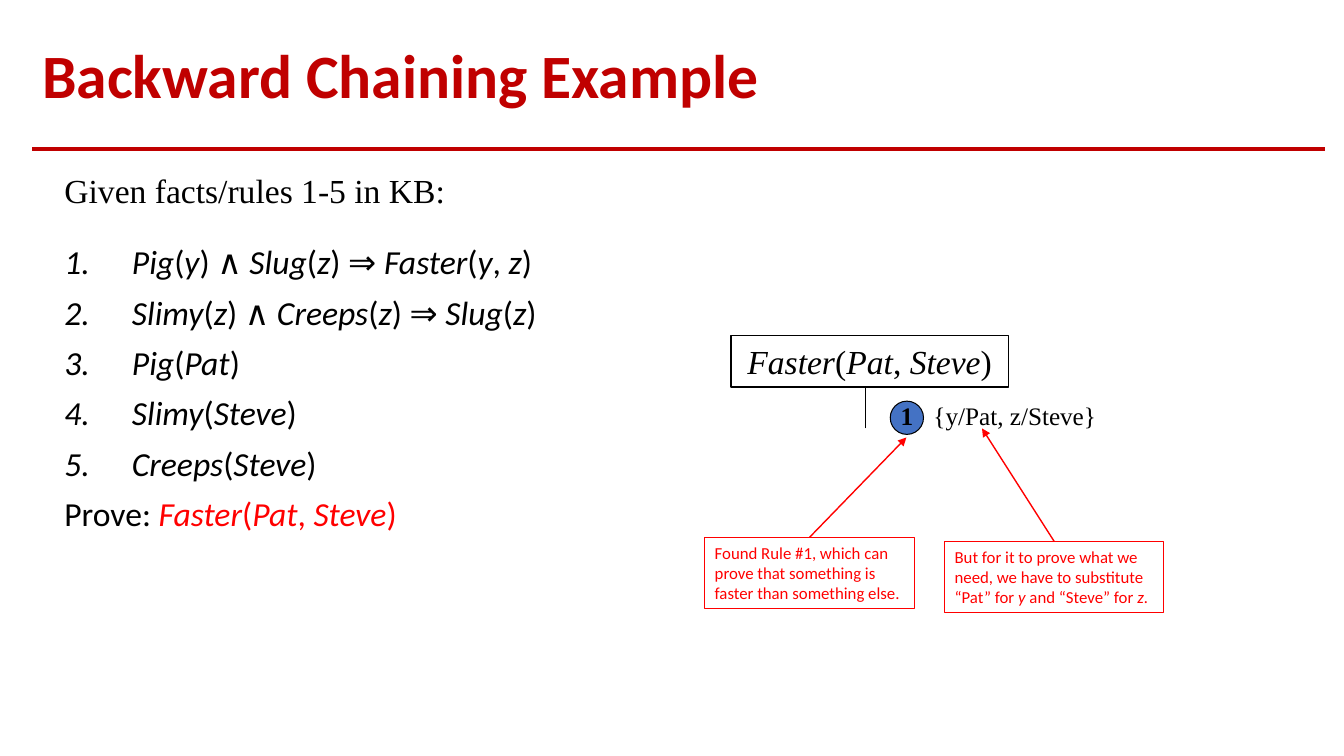
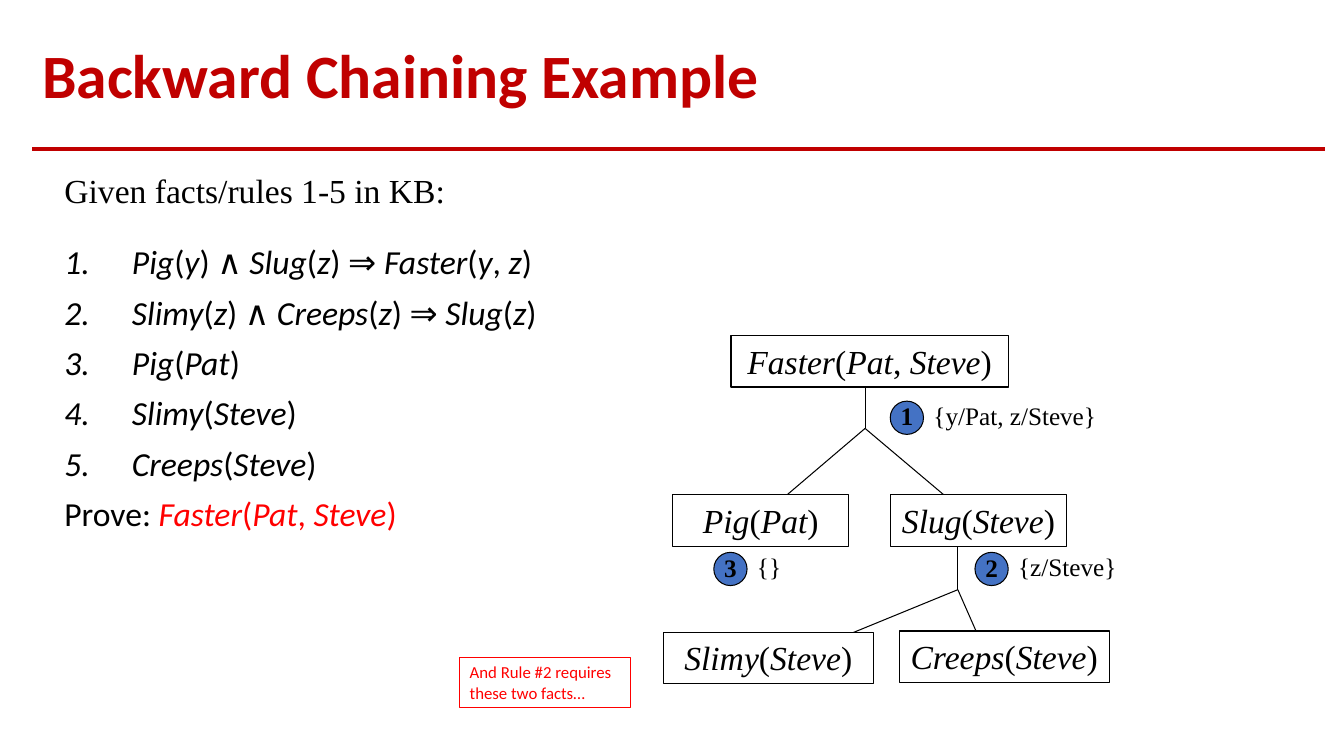
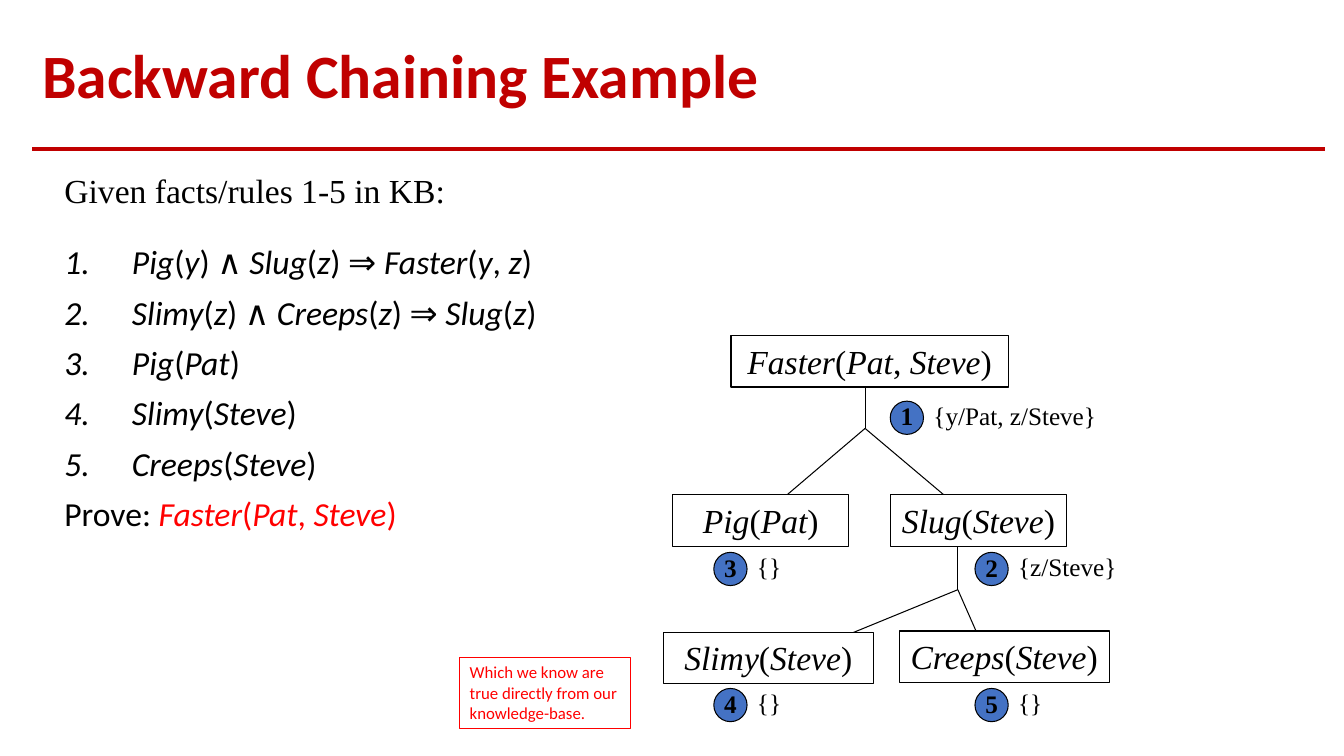
from dataclasses import dataclass
from typing import Optional

from lxml.etree import SubElement
from pptx import Presentation
from pptx.dml.color import RGBColor
from pptx.enum.shapes import MSO_CONNECTOR, MSO_SHAPE
from pptx.enum.text import MSO_ANCHOR, MSO_AUTO_SIZE, PP_ALIGN
from pptx.oxml.ns import qn
from pptx.util import Inches, Pt

DARK_RED = RGBColor(0xC0, 0x00, 0x00)
RED = RGBColor(0xFF, 0x00, 0x00)
BLACK = RGBColor(0x00, 0x00, 0x00)
WHITE = RGBColor(0xFF, 0xFF, 0xFF)
BLUE = RGBColor(0x44, 0x72, 0xC4)
SANS = "Calibri"
SERIF = "Times New Roman"

TITLE = "Backward Chaining Example"
INTRO = "Given facts/rules 1-5 in KB:"
# Asterisks enclose italic text.
RULES = (
    "*Pig*(*y*) ∧ *Slug*(*z*) ⇒ *Faster*(*y*, *z*)",
    "*Slimy*(*z*) ∧ *Creeps*(*z*) ⇒ *Slug*(*z*)",
    "*Pig*(*Pat*)",
    "*Slimy*(*Steve*)",
    "*Creeps*(*Steve*)",
)
GOAL = "*Faster*(*Pat*, *Steve*)"

LIST_INDENT = Inches(0.67)
STATEMENT_HEIGHT = 0.51
BADGE_SIZE = 0.33


@dataclass(frozen=True)
class Statement:
    text: str
    left: float
    top: float
    width: float


@dataclass(frozen=True)
class Fork:
    """A point in the proof tree and the points its lines lead to."""
    x: float
    y: float
    ends: tuple


@dataclass(frozen=True)
class Binding:
    """A numbered rule with its substitution."""
    number: int
    left: float
    top: float
    text: str
    width: float = 0.5


@dataclass(frozen=True)
class Callout:
    text: str
    left: float
    top: float
    width: float
    height: float
    target: Optional[tuple] = None


@dataclass(frozen=True)
class Stage:
    forks: tuple
    statements: tuple
    bindings: tuple
    callouts: tuple


GOAL_STATEMENT = Statement(GOAL, 7.25, 3.33, 2.75)
GOAL_BINDING = Binding(1, 8.83, 3.98, "{y/Pat, z/Steve}", 1.83)
STEM_END = (8.58, 3.67)

TREE_FORKS = (
    Fork(8.58, 4.25, (STEM_END, (7.5, 5.17), (9.67, 5.17))),
    Fork(9.5, 5.85, ((9.5, 5.27), (7.67, 6.6), (9.83, 6.6))),
)
TREE_STATEMENTS = (
    GOAL_STATEMENT,
    Statement("*Pig*(*Pat*)", 6.67, 4.91, 1.75),
    Statement("*Slug*(*Steve*)", 8.83, 4.91, 1.75),
    Statement("*Slimy*(*Steve*)", 6.58, 6.27, 2.08),
    Statement("*Creeps*(*Steve*)", 8.92, 6.26, 2.08),
)
TREE_BINDINGS = (
    GOAL_BINDING,
    Binding(2, 9.67, 5.48, "{z/Steve}", 1.33),
    Binding(3, 7.08, 5.48, "{}"),
)
FACT_BINDINGS = (Binding(4, 7.08, 6.83, "{}"), Binding(5, 9.67, 6.83, "{}"))

STAGES = (
    Stage(
        (Fork(8.58, 4.25, (STEM_END,)),),
        (GOAL_STATEMENT,),
        (GOAL_BINDING,),
        (
            Callout("Found Rule #1, which can prove that something is faster than "
                    "something else.", 6.99, 5.33, 2.08, 0.71, (8.99, 4.34)),
            Callout("But for it to prove what we need, we have to substitute “Pat” "
                    "for *y* and “Steve” for *z.*", 9.37, 5.37, 2.17, 0.71, (9.74, 4.25)),
        ),
    ),
    Stage(TREE_FORKS, TREE_STATEMENTS, TREE_BINDINGS,
          (Callout("And Rule #2 requires these two facts…", 4.56, 6.52, 1.69, 0.5),)),
    Stage(TREE_FORKS, TREE_STATEMENTS, TREE_BINDINGS + FACT_BINDINGS,
          (Callout("Which we know are true directly from our knowledge-base.",
                   4.56, 6.52, 1.69, 0.71),)),
)


def add_runs(paragraph, text: str, color: Optional[RGBColor] = None) -> None:
    """Add text as runs, with the parts between asterisks in italics."""
    for index, part in enumerate(text.split("*")):
        if part:
            run = paragraph.add_run()
            run.text = part
            if index % 2:
                run.font.italic = True
            if color is not None:
                run.font.color.rgb = color


def format_paragraph(paragraph, font: str, size: float, color: RGBColor = BLACK,
                     bold: bool = False, alignment=PP_ALIGN.LEFT) -> None:
    paragraph.alignment = alignment
    paragraph.font.name = font
    paragraph.font.size = Pt(size)
    paragraph.font.bold = bold
    paragraph.font.color.rgb = color


def add_text_box(slide, left: float, top: float, width: float, height: float):
    frame = slide.shapes.add_textbox(
        Inches(left), Inches(top), Inches(width), Inches(height)).text_frame
    frame.word_wrap = True
    return frame


def add_label(slide, text: str, left: float, top: float, width: float, height: float,
              size: float) -> None:
    paragraph = add_text_box(slide, left, top, width, height).paragraphs[0]
    format_paragraph(paragraph, SERIF, size)
    add_runs(paragraph, text)


def add_outlined_shape(slide, kind, left: float, top: float, width: float, height: float,
                       line: RGBColor, fill: Optional[RGBColor] = None):
    shape = slide.shapes.add_shape(
        kind, Inches(left), Inches(top), Inches(width), Inches(height))
    shape.shadow.inherit = False
    if fill is None:
        shape.fill.background()
    else:
        shape.fill.solid()
        shape.fill.fore_color.rgb = fill
    shape.line.color.rgb = line
    shape.line.width = Pt(0.75)
    shape.text_frame.word_wrap = True
    shape.text_frame.vertical_anchor = MSO_ANCHOR.TOP
    return shape


def add_line(slide, start: tuple, end: tuple, color: RGBColor, width: float):
    connector = slide.shapes.add_connector(
        MSO_CONNECTOR.STRAIGHT, *(Inches(value) for value in start + end))
    connector.line.color.rgb = color
    connector.line.width = Pt(width)
    SubElement(connector._element.spPr, qn("a:effectLst"))
    return connector


def add_title(slide) -> None:
    title = slide.shapes.title
    title.left, title.top = Inches(0.32), Inches(0.28)
    title.width, title.height = Inches(12.82), Inches(1)
    frame = title.text_frame
    frame.text = TITLE
    frame.auto_size = MSO_AUTO_SIZE.NONE
    frame.vertical_anchor = MSO_ANCHOR.MIDDLE
    format_paragraph(frame.paragraphs[0], SANS, 44, DARK_RED, bold=True)
    frame.paragraphs[0].line_spacing = 0.9
    add_line(slide, (0.32, 1.48), (13.14, 1.48), DARK_RED, 2.5)


def add_knowledge_base(slide) -> None:
    add_label(slide, INTRO, 0.54, 1.64, 4.25, 0.51, 24)
    frame = add_text_box(slide, 0.54, 2.39, 6.83, 4.83)
    for index, text in enumerate(RULES + ("Prove: ",)):
        paragraph = frame.paragraphs[0] if index == 0 else frame.add_paragraph()
        paragraph.line_spacing = 0.9
        paragraph.space_before = Pt(10)
        properties = paragraph._p.get_or_add_pPr()
        properties.set("marL", str(LIST_INDENT))
        properties.set("indent", str(-LIST_INDENT))
        if index < len(RULES):
            SubElement(properties, qn("a:buFont"), typeface="+mj-lt")
            SubElement(properties, qn("a:buAutoNum"), type="arabicPeriod")
        format_paragraph(paragraph, SANS, 24)
        add_runs(paragraph, text)
    add_runs(frame.paragraphs[-1], GOAL, RED)


def add_fork(slide, fork: Fork) -> None:
    for end in fork.ends:
        add_line(slide, (fork.x, fork.y), end, BLACK, 0.75)


def add_statement(slide, statement: Statement) -> None:
    shape = add_outlined_shape(slide, MSO_SHAPE.RECTANGLE, statement.left, statement.top,
                               statement.width, STATEMENT_HEIGHT, BLACK, WHITE)
    paragraph = shape.text_frame.paragraphs[0]
    format_paragraph(paragraph, SERIF, 24, alignment=PP_ALIGN.CENTER)
    add_runs(paragraph, statement.text)


def add_binding(slide, binding: Binding) -> None:
    badge = add_outlined_shape(slide, MSO_SHAPE.OVAL, binding.left, binding.top,
                               BADGE_SIZE, BADGE_SIZE, BLACK, BLUE)
    frame = badge.text_frame
    frame.margin_left = frame.margin_right = frame.margin_top = 0
    frame.margin_bottom = Inches(0.04)
    frame.vertical_anchor = MSO_ANCHOR.MIDDLE
    frame.word_wrap = False
    paragraph = frame.paragraphs[0]
    format_paragraph(paragraph, SERIF, 18, bold=True, alignment=PP_ALIGN.CENTER)
    add_runs(paragraph, str(binding.number))
    add_label(slide, binding.text, binding.left + BADGE_SIZE, binding.top - 0.06,
              binding.width, 0.4, 18)


def add_callout(slide, callout: Callout) -> None:
    box = add_outlined_shape(slide, MSO_SHAPE.RECTANGLE, callout.left, callout.top,
                             callout.width, callout.height, RED)
    paragraph = box.text_frame.paragraphs[0]
    format_paragraph(paragraph, SANS, 12, RED)
    add_runs(paragraph, callout.text)
    if callout.target:
        start = (callout.left + callout.width / 2, callout.top)
        arrow = add_line(slide, start, callout.target, RED, 1)
        arrow.begin_connect(box, 0)
        SubElement(arrow.line._get_or_add_ln(), qn("a:tailEnd"), type="triangle")


def add_stage(presentation, stage: Stage) -> None:
    slide = presentation.slides.add_slide(presentation.slide_layouts[5])
    add_title(slide)
    add_knowledge_base(slide)
    for callout in stage.callouts:
        add_callout(slide, callout)
    for fork in stage.forks:
        add_fork(slide, fork)
    for statement in stage.statements:
        add_statement(slide, statement)
    for binding in stage.bindings:
        add_binding(slide, binding)


def main() -> None:
    presentation = Presentation()
    presentation.slide_width = Inches(13.33)
    presentation.slide_height = Inches(7.5)
    for stage in STAGES:
        add_stage(presentation, stage)
    presentation.save("out.pptx")


if __name__ == "__main__":
    main()
